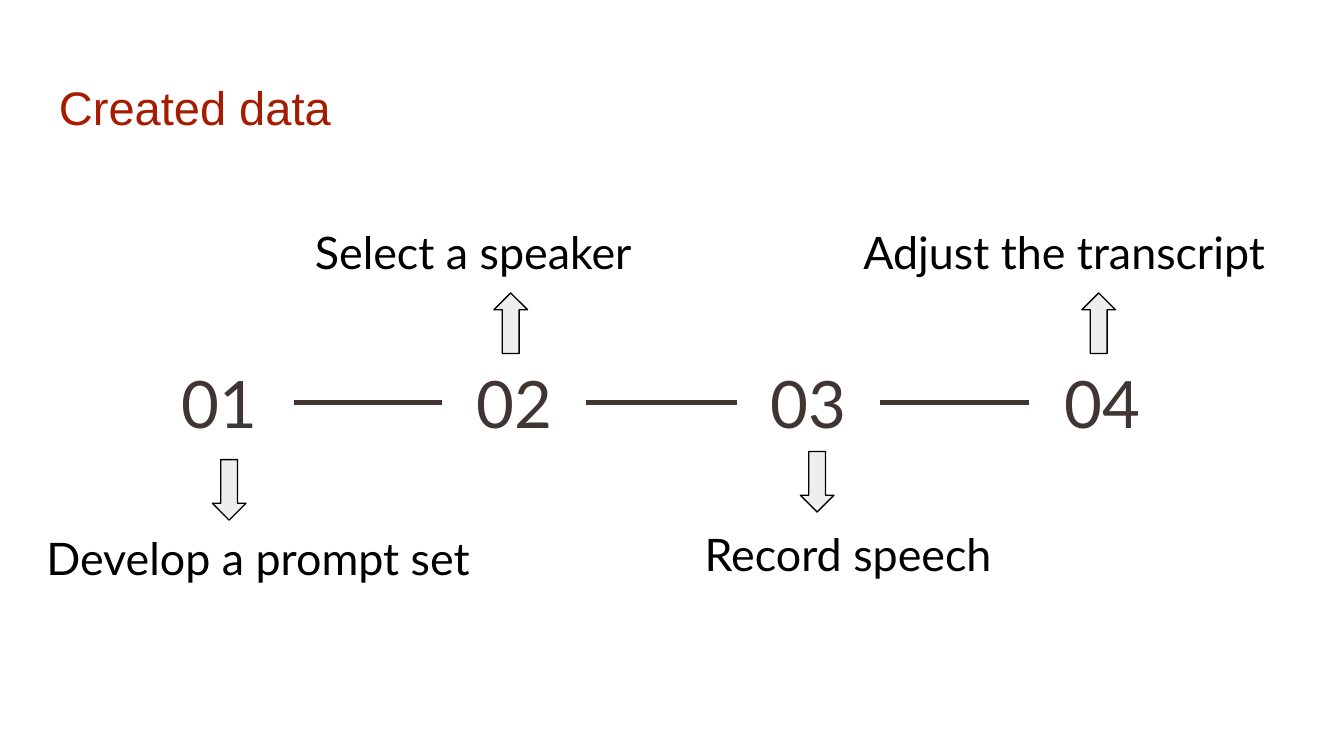
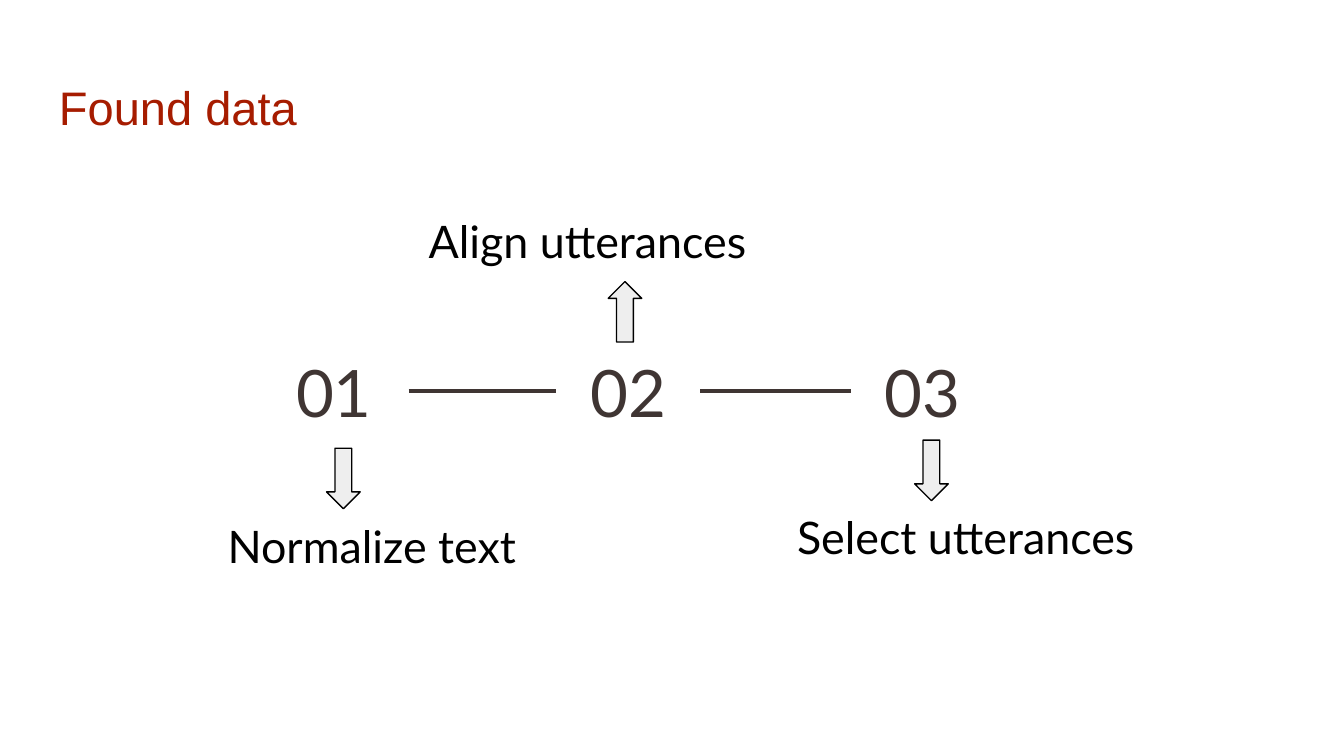
from dataclasses import dataclass

from lxml import etree
from pptx import Presentation
from pptx.dml.color import RGBColor
from pptx.enum.shapes import MSO_CONNECTOR, MSO_SHAPE
from pptx.enum.text import MSO_ANCHOR, PP_ALIGN
from pptx.oxml.ns import qn
from pptx.util import Pt

STRAIGHT = MSO_CONNECTOR.STRAIGHT
UP_ARROW, DOWN_ARROW = MSO_SHAPE.UP_ARROW, MSO_SHAPE.DOWN_ARROW
LEFT, CENTER = PP_ALIGN.LEFT, PP_ALIGN.CENTER
TOP, MIDDLE = MSO_ANCHOR.TOP, MSO_ANCHOR.MIDDLE
RIGHT_SIDE, LEFT_SIDE = 3, 1

# Steps alternate below and above the row of numbers.
# Each step: label, label left, label width, label top (px)
TIMELINES = [
    {
        "title": "Created data",
        "origin": (216, 526),
        "steps": [
            ("Develop a prompt set", 32, 704, 790),
            ("Select a speaker", 449, 576, 336),
            ("Record speech", 1026, 472, 785),
            ("Adjust the transcript", 1265, 704, 336),
        ],
    },
    {
        "title": "Found data",
        "origin": (386, 509),
        "steps": [
            ("Normalize text", 201, 704, 773),
            ("Align utterances", 618, 576, 319),
            ("Select utterances", 1075, 724, 760),
        ],
    },
]

PX = 4572  # EMU per px, 200 px to the inch
SLIDE_SIZE = (2000, 1125)
TITLE_BOX = (68, 97, 1864, 126)
INSET = 20
LABEL_HEIGHT = 78
NUMBER_HEIGHT = 146
ARROW_SIZE = (50, 90)
# Each place in the row: number offset, number width, arrow offset, arrow gap
PLACES = [(0, 222, 100, 12), (442, 214, 77, 0), (880, 214, 95, 0), (1316, 218, 78, 0)]


@dataclass(frozen=True)
class Theme:
    background: RGBColor = RGBColor.from_string("FFFFFF")
    title: RGBColor = RGBColor.from_string("A61C00")
    ink: RGBColor = RGBColor.from_string("3F3533")
    black: RGBColor = RGBColor.from_string("000000")
    arrow_fill: RGBColor = RGBColor.from_string("EEEEEE")
    title_size: Pt = Pt(25.2)
    label_size: Pt = Pt(24)
    number_size: Pt = Pt(35)
    link_width: Pt = Pt(2.25)
    outline_width: Pt = Pt(0.75)


THEME = Theme()
TITLE_FONT = {"name": "Arial", "size": THEME.title_size, "color": THEME.title}
LABEL_FONT = {"name": "Lato", "size": THEME.label_size, "color": THEME.black}
NUMBER_FONT = {"name": "Lato", "size": THEME.number_size, "color": THEME.ink}


def emu(*lengths):
    return [length * PX for length in lengths]


def add_text(slide, text, box, font, align=LEFT, anchor=MIDDLE):
    textbox = slide.shapes.add_textbox(*emu(*box))
    frame = textbox.text_frame
    frame_format = {"word_wrap": True, "vertical_anchor": anchor}
    frame_format |= {f"margin_{side}": INSET * PX for side in ("left", "top", "right", "bottom")}
    for name, value in frame_format.items():
        setattr(frame, name, value)
    paragraph = frame.paragraphs[0]
    paragraph.alignment = align
    run = paragraph.add_run()
    run.text = text
    for name in ("name", "size"):
        setattr(run.font, name, font[name])
    run.font.color.rgb = font["color"]
    return textbox


def add_arrow(slide, preset, left, top):
    arrow = slide.shapes.add_shape(preset, *emu(left, top, *ARROW_SIZE))
    arrow.shadow.inherit = False
    arrow.fill.solid()
    arrow.fill.fore_color.rgb = THEME.arrow_fill
    arrow.line.color.rgb = THEME.black
    arrow.line.width = THEME.outline_width


def link_numbers(slide, number, next_number):
    link = slide.shapes.add_connector(STRAIGHT, 0, 0, 0, 0)
    link.begin_connect(number, RIGHT_SIDE)
    link.end_connect(next_number, LEFT_SIDE)
    link.line.color.rgb = THEME.ink
    link.line.width = THEME.link_width
    etree.SubElement(link._element.spPr, qn("a:effectLst"))


def add_timeline(slide, origin, steps):
    row_left, row_top = origin
    numbers = []
    for index, (step, place) in enumerate(zip(steps, PLACES)):
        label, label_left, label_width, label_top = step
        offset, width, arrow_offset, gap = place
        left = row_left + offset
        above = index % 2 == 1

        number_box = (left, row_top, width, NUMBER_HEIGHT)
        numbers.append(add_text(slide, f"{index + 1:02}", number_box, NUMBER_FONT, CENTER))

        arrow_top = row_top - ARROW_SIZE[1] if above else row_top + NUMBER_HEIGHT + gap
        add_arrow(slide, UP_ARROW if above else DOWN_ARROW, left + arrow_offset, arrow_top)

        label_box = (label_left, label_top, label_width, LABEL_HEIGHT)
        add_text(slide, label, label_box, LABEL_FONT, LEFT if above else CENTER)

    for number, next_number in zip(numbers, numbers[1:]):
        link_numbers(slide, number, next_number)


def main():
    deck = Presentation()
    deck.slide_width, deck.slide_height = emu(*SLIDE_SIZE)
    blank = deck.slide_layouts[6]
    for timeline in TIMELINES:
        slide = deck.slides.add_slide(blank)
        slide.background.fill.solid()
        slide.background.fill.fore_color.rgb = THEME.background
        add_text(slide, timeline["title"], TITLE_BOX, TITLE_FONT, anchor=TOP)
        add_timeline(slide, timeline["origin"], timeline["steps"])
    deck.save("out.pptx")


if __name__ == "__main__":
    main()
